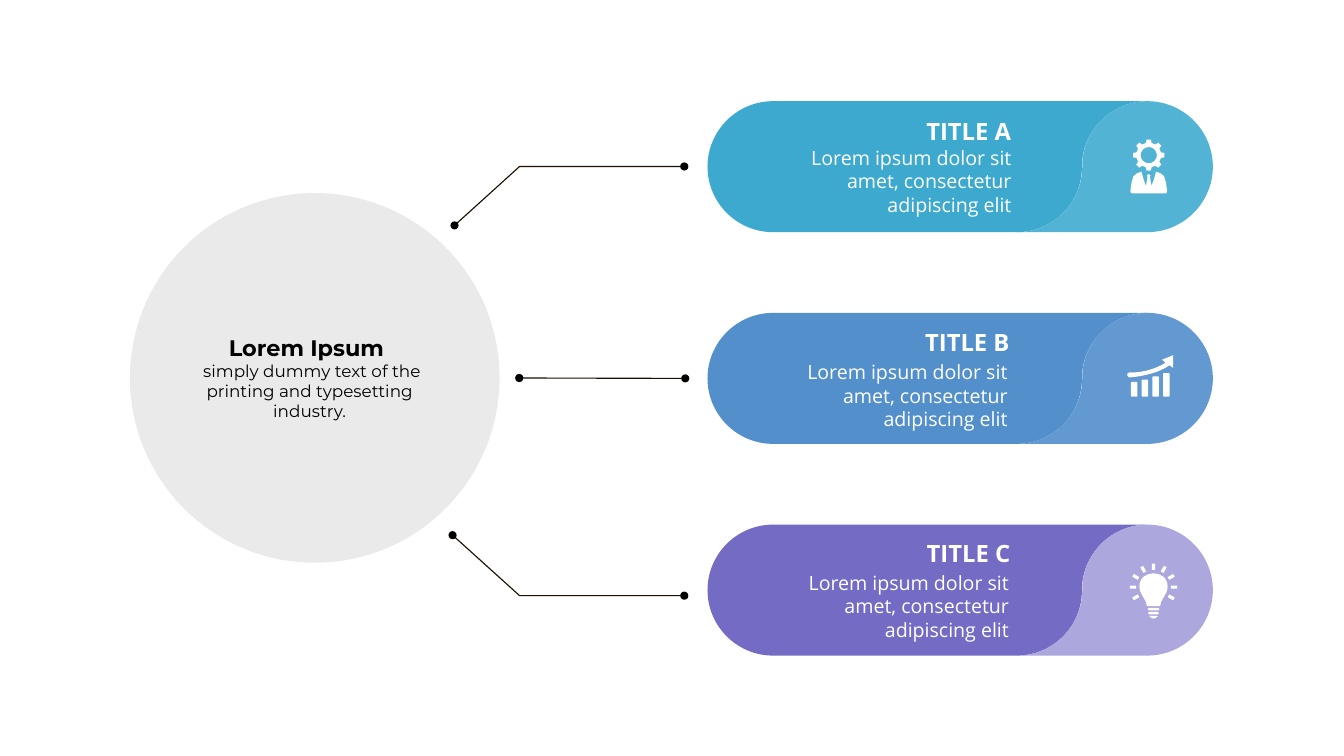
from dataclasses import dataclass
from math import cos, radians, sin

from lxml import etree
from pptx import Presentation
from pptx.dml.color import RGBColor
from pptx.enum.shapes import MSO_CONNECTOR, MSO_SHAPE
from pptx.enum.text import PP_ALIGN
from pptx.oxml.ns import qn
from pptx.util import Cm, Pt

ELLIPSE = MSO_SHAPE.OVAL
ROUNDED = MSO_SHAPE.ROUNDED_RECTANGLE
STRAIGHT = MSO_CONNECTOR.STRAIGHT
LEFT, CENTER, RIGHT = PP_ALIGN.LEFT, PP_ALIGN.CENTER, PP_ALIGN.RIGHT


@dataclass(frozen=True)
class Theme:
    white: str = "FFFFFF"
    black: str = "000000"
    disc: str = "EAEAEA"
    leader: str = "1E0F00"
    panel_font: str = "Open Sans"
    hub_font: str = "Montserrat"
    panel_title: int = 34
    panel_body: int = 28
    hub_title: int = 32
    hub_body: int = 24
    leader_width: float = 1.62


THEME = Theme()
FIRST_MIDDLE, PITCH, RADIUS = 8.4, 10.67, 3.3
PANEL_LEFT, PANEL_RIGHT = 35.66, 61.13
CURVE_LEFT, CURVE_RIGHT = 51.25, 57.83
ICON_X, BULB_X = 57.9, 58.14
DOT = 0.41
BODY = "Lorem ipsum dolor sit amet, consectetur adipiscing elit"
PANELS = [
    ("TITLE A", "3DA9CF", "53B3D5", (46.69, 5.89), (39.04, 7.09)),
    ("TITLE B", "5390CB", "6299D0", (46.63, 16.51), (38.84, 17.91)),
    ("TITLE C", "746BC5", "ACA7DD", (46.71, 27.15), (38.91, 28.5)),
]
LEADERS = [
    [(22.91, 11.36), (26.19, 8.39), (34.49, 8.39)],
    [(26.17, 19.05), (34.54, 19.07)],
    [(22.81, 26.97), (26.19, 30.02), (34.49, 30.02)],
]


def quarter(x, y, radius, start, turn=90):
    a, b = radians(start), radians(start + turn)
    pull = 0.55 if turn > 0 else -0.55
    return tuple((x + radius * u, y + radius * v) for u, v in (
        (cos(a) - pull * sin(a), sin(a) + pull * cos(a)),
        (cos(b) + pull * sin(b), sin(b) - pull * cos(b)),
        (cos(b), sin(b))))


def moved(steps, x, y):
    return [tuple(moved(step, x, y)) if len(step) == 3 else (x + step[0], y + step[1])
            for step in steps]


def flat(steps):
    return [point for step in steps for point in (step if len(step) == 3 else (step,))]


def bend_curves(shape, contours):
    lines = iter(list(shape._element.iter(qn("a:lnTo"))))
    for contour in contours:
        for step in contour[1:]:
            curve = next(lines)
            if len(step) == 3:
                curve.tag = qn("a:cubicBezTo")
                for line in (next(lines), next(lines)):
                    curve.append(line[0])
                    line.getparent().remove(line)


def build_outline(shapes, contours, close=True):
    builder = None
    for contour in contours:
        points = [(Cm(x), Cm(y)) for x, y in flat(contour)]
        if builder is None:
            builder = shapes.build_freeform(*points[0])
        else:
            builder.move_to(*points[0])
        builder.add_line_segments(points[1:], close=close)
    shape = builder.convert_to_shape()
    bend_curves(shape, contours)
    return shape


def paint(shape, color):
    shape.shadow.inherit = False
    shape.fill.solid()
    shape.fill.fore_color.rgb = RGBColor.from_string(color)
    shape.line.fill.background()


def add_solid(shapes, contours, color):
    paint(build_outline(shapes, contours), color)


def add_preset(shapes, kind, left, top, width, height, color):
    shape = shapes.add_shape(kind, Cm(left), Cm(top), Cm(width), Cm(height))
    paint(shape, color)
    return shape


def add_text(shapes, left, top, width, height, paragraphs, align, font, margins, wrap=True):
    box = shapes.add_textbox(Cm(left), Cm(top), Cm(width), Cm(height))
    frame = box.text_frame
    frame.word_wrap = wrap
    frame.margin_left = frame.margin_right = Cm(margins[0])
    frame.margin_top = frame.margin_bottom = Cm(margins[1])
    for index, (text, size, color, bold) in enumerate(paragraphs):
        para = frame.add_paragraph() if index else frame.paragraphs[0]
        para.alignment = align
        span = para.add_run()
        span.text = text
        span.font.name = font
        span.font.size = Pt(size)
        span.font.bold = bold
        span.font.color.rgb = RGBColor.from_string(color)


def add_panel(shapes, middle, title, color, badge_color, title_at, body_at):
    top, bottom = middle - RADIUS, middle + RADIUS
    left_x, right_x = PANEL_LEFT + RADIUS, PANEL_RIGHT - RADIUS
    add_solid(shapes, [[
        (left_x, top), (CURVE_RIGHT, top),
        quarter(CURVE_RIGHT, middle, RADIUS, 270, -90), quarter(CURVE_LEFT, middle, RADIUS, 0),
        (left_x, bottom),
        quarter(left_x, middle, RADIUS, 90), quarter(left_x, middle, RADIUS, 180)]], color)
    add_solid(shapes, [[
        (right_x, top),
        quarter(right_x, middle, RADIUS, 270), quarter(right_x, middle, RADIUS, 0),
        (CURVE_LEFT, bottom),
        quarter(CURVE_LEFT, middle, RADIUS, 90, -90),
        quarter(CURVE_RIGHT, middle, RADIUS, 180)]], badge_color)
    add_text(shapes, *title_at, 4.6, 1.45,
             [(title, THEME.panel_title, THEME.white, True)],
             LEFT, THEME.panel_font, (0, 0), wrap=False)
    add_text(shapes, *body_at, 12.45, 4.1,
             [(BODY, THEME.panel_body, THEME.white, False)],
             RIGHT, THEME.panel_font, (0.51, 0.25))


def add_leader(shapes, points):
    if len(points) == 2:
        (x1, y1), (x2, y2) = points
        line = shapes.add_connector(STRAIGHT, Cm(x1), Cm(y1), Cm(x2), Cm(y2))
        etree.SubElement(line._element.spPr, qn("a:effectLst"))
    else:
        line = build_outline(shapes, [points], close=False)
        line.shadow.inherit = False
        line.fill.background()
    line.line.color.rgb = RGBColor.from_string(THEME.leader)
    line.line.width = Pt(THEME.leader_width)
    for x, y in (points[0], points[-1]):
        add_preset(shapes, ELLIPSE, x - DOT / 2, y - DOT / 2, DOT, DOT, THEME.black)


def add_manager_icon(shapes, middle):
    half = [(0, 0.38), (0.09, 0.43), (0.06, 0.53), (0.14, 0.97), (0.25, 0.67), (0.37, 0.25),
            (0.6, 0.34), (0.77, 0.48), (0.87, 0.81), (0.93, 1.27), (0.85, 1.35)]
    suit = half + [(-x, y) for x, y in half[:0:-1]]
    gear = []
    for tooth in range(0, 360, 45):
        for offset, radius in ((-13, 0.63), (-8, 0.79), (8, 0.79), (13, 0.63)):
            angle = radians(tooth + offset)
            gear.append((radius * cos(angle), radius * sin(angle) - 0.58))
    hole = [(0.41, -0.58)] + [quarter(0, -0.58, 0.41, start, -90) for start in (0, 270, 180, 90)]
    add_solid(shapes, [moved(part, ICON_X, middle) for part in (suit, gear, hole)], THEME.white)


def add_growth_icon(shapes, middle):
    group = shapes.add_group_shape().shapes
    for index, height in enumerate((0.74, 0.86, 1.02, 1.19)):
        bar = add_preset(group, ROUNDED, 57 + 0.54 * index, middle + 0.92 - height,
                         0.33, height, THEME.white)
        bar.adjustments[0] = 0.15
    arrow = [(-0.98, -0.3), ((-0.98, -0.3), (-0.06, -0.23), (0.85, -0.79)),
             (0.67, -0.94), (1.23, -1.17), (1.23, -0.53), (1.03, -0.66),
             ((1.03, -0.66), (0.47, -0.18), (-0.93, -0.05)),
             ((-0.93, -0.05), (-1.08, -0.05), (-1.08, -0.13)),
             ((-1.08, -0.2), (-1.11, -0.3), (-0.98, -0.3))]
    add_solid(group, [moved(arrow, ICON_X, middle)], THEME.white)


def add_bulb_icon(shapes, middle):
    glass = [(0.71, -0.18), ((0.71, 0.25), (0.33, 0.48), (0.33, 0.81)), (-0.33, 0.81),
             ((-0.33, 0.48), (-0.71, 0.25), (-0.71, -0.18)),
             ((-0.71, -1.07), (0.71, -1.07), (0.71, -0.18))]
    parts = [glass, [(-0.23, 1.3), (0.23, 1.3), (0.08, 1.42), (-0.08, 1.42)]]
    for x, y in ((0.24, 0.96), (0.22, 1.16)):
        top, bottom = y - 0.06, y + 0.06
        parts.append([(-x, top), (x, top), ((x + 0.08, top), (x + 0.08, bottom), (x, bottom)),
                      (-x, bottom), ((-x - 0.08, bottom), (-x - 0.08, top), (-x, top))])
    for angle in range(-210, 31, 30):
        c, s = cos(radians(angle)), sin(radians(angle))
        corners = ((0.87, -0.08), (1.19, -0.08), (1.19, 0.08), (0.87, 0.08))
        parts.append([(c * u - s * v, s * u + c * v - 0.15) for u, v in corners])
    add_solid(shapes, [moved(part, BULB_X, middle) for part in parts], THEME.white)


def add_hub(shapes):
    add_preset(shapes, ELLIPSE, 6.55, 9.73, 18.63, 18.63, THEME.disc)
    add_text(shapes, 9.04, 16.69, 13.13, 4.7,
             [("Lorem Ipsum ", THEME.hub_title, THEME.black, True),
              (" simply dummy text of the printing and typesetting industry.",
               THEME.hub_body, THEME.black, False)],
             CENTER, THEME.hub_font, (0.25, 0.13))


def main():
    deck = Presentation()
    deck.slide_width, deck.slide_height = Cm(67.74), Cm(38.1)
    page = deck.slides.add_slide(deck.slide_layouts[6])
    shapes = page.shapes
    add_hub(shapes)
    icons = (add_manager_icon, add_growth_icon, add_bulb_icon)
    for index, (panel, leader, add_icon) in enumerate(zip(PANELS, LEADERS, icons)):
        middle = FIRST_MIDDLE + PITCH * index
        add_panel(shapes, middle, *panel)
        add_leader(shapes, leader)
        add_icon(shapes, middle)
    deck.save("out.pptx")


if __name__ == "__main__":
    main()
